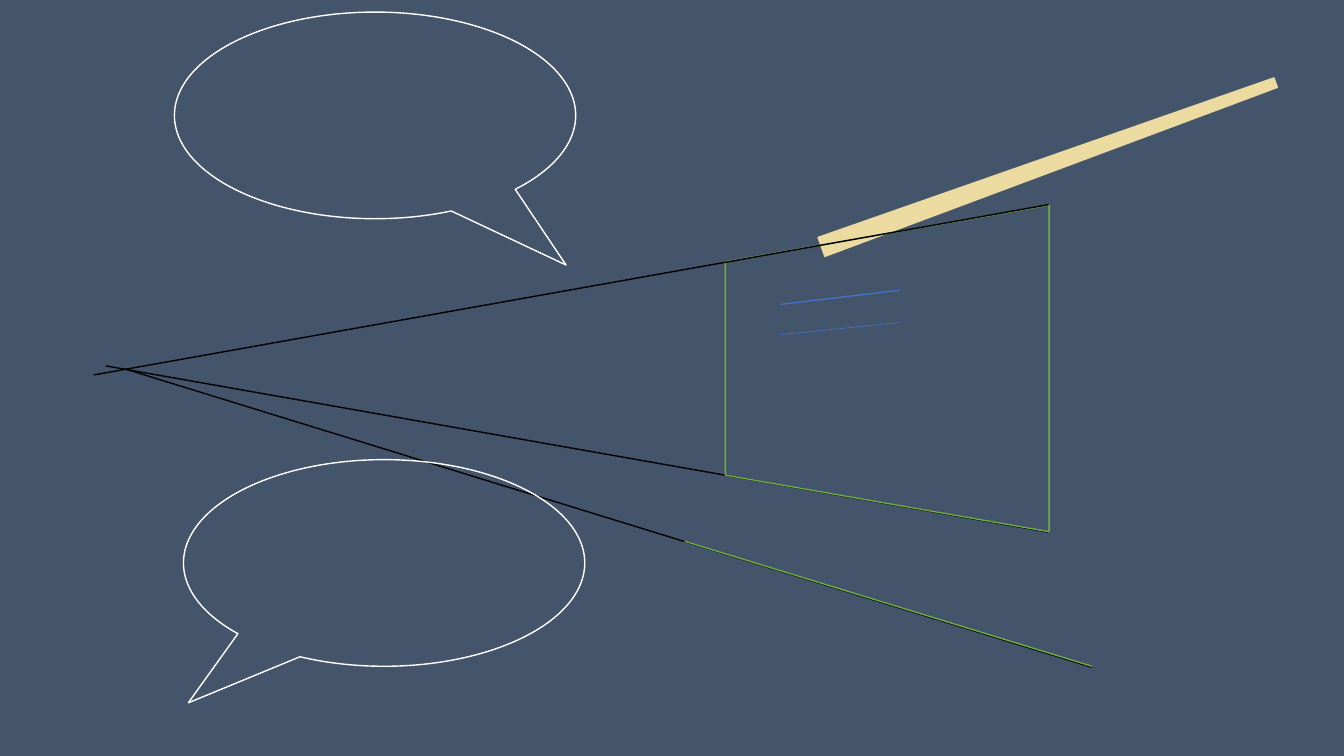
"""Build a slide with sight lines, a projected screen and two speech bubbles."""
from dataclasses import dataclass

from lxml import etree
from pptx import Presentation
from pptx.dml.color import RGBColor
from pptx.enum.shapes import MSO_CONNECTOR, MSO_SHAPE as Preset
from pptx.oxml.ns import qn
from pptx.shapes.shapetree import GroupShapes, SlideShapes
from pptx.util import Inches, Pt

COLOURS = {
    "background": "44546A",
    "sight": "000000",
    "beam": "ECDBA0",
    "screen": "70AD47",
    "mark": "4472C4",
    "bubble": "FFFFFF",
}
BUBBLE_SIZE = (3.98, 2.05)
Shapes = SlideShapes | GroupShapes


@dataclass(frozen=True)
class Stroke:
    start: tuple[float, float]
    end: tuple[float, float]
    colour: str
    weight: float = 1


@dataclass(frozen=True)
class Figure:
    preset: Preset
    corner: tuple[float, float]
    size: tuple[float, float]
    colour: str
    adjustments: tuple[float, ...]
    rotation: float = 0
    filled: bool = False


def rgb(name: str) -> RGBColor:
    return RGBColor.from_string(COLOURS[name])


def draw_stroke(shapes: Shapes, stroke: Stroke) -> None:
    ends = [Inches(value) for value in (*stroke.start, *stroke.end)]
    line = shapes.add_connector(MSO_CONNECTOR.STRAIGHT, *ends)
    line.line.color.rgb = rgb(stroke.colour)
    line.line.width = Pt(stroke.weight)
    etree.SubElement(line._element.spPr, qn("a:effectLst"))


def draw_figure(shapes: Shapes, figure: Figure) -> None:
    frame = [Inches(value) for value in (*figure.corner, *figure.size)]
    shape = shapes.add_shape(figure.preset, *frame)
    shape.rotation = figure.rotation
    shape.shadow.inherit = False
    for index, value in enumerate(figure.adjustments):
        shape.adjustments[index] = value
    if figure.filled:
        shape.fill.solid()
        shape.fill.fore_color.rgb = rgb(figure.colour)
    else:
        shape.fill.background()
    shape.line.color.rgb = rgb(figure.colour)
    shape.line.width = Pt(1)


def draw_all(shapes: Shapes, items: list[Stroke | Figure]) -> None:
    for item in items:
        if isinstance(item, Stroke):
            draw_stroke(shapes, item)
        else:
            draw_figure(shapes, item)


def bubble(corner: tuple[float, float], tip: tuple[float, float]) -> Figure:
    return Figure(Preset.OVAL_CALLOUT, corner, BUBBLE_SIZE, "bubble", tip)


BACK = [
    Stroke((1.24, 3.66), (10.83, 6.62), "sight"),
    Figure(Preset.TRAPEZOID, (10.3, -0.76), (0.2, 4.79), "beam", (0.25,), 70.1, True),
    Stroke((1.05, 3.63), (10.4, 5.28), "sight"),
]
SCREEN = [
    Figure(Preset.TRAPEZOID, (7.18, 2.05), (3.24, 3.21), "screen", (0.175,), 270),
    Stroke((6.79, 5.37), (10.83, 6.61), "screen"),
]
FRONT = [
    Stroke((0.93, 3.72), (10.4, 2.03), "sight"),
    Stroke((7.74, 3.02), (8.92, 2.88), "mark"),
    Stroke((7.74, 3.32), (8.92, 3.2), "mark", 0.5),
    bubble((1.73, 0.12), (0.476, 0.724)),
    bubble((1.82, 4.56), (-0.488, 0.677)),
]

deck = Presentation()
deck.slide_width, deck.slide_height = Inches(13.33), Inches(7.5)
page = deck.slides.add_slide(deck.slide_layouts[6])
page.background.fill.solid()
page.background.fill.fore_color.rgb = rgb("background")

draw_all(page.shapes, BACK)
draw_all(page.shapes.add_group_shape().shapes, SCREEN)
draw_all(page.shapes, FRONT)

deck.save("out.pptx")
